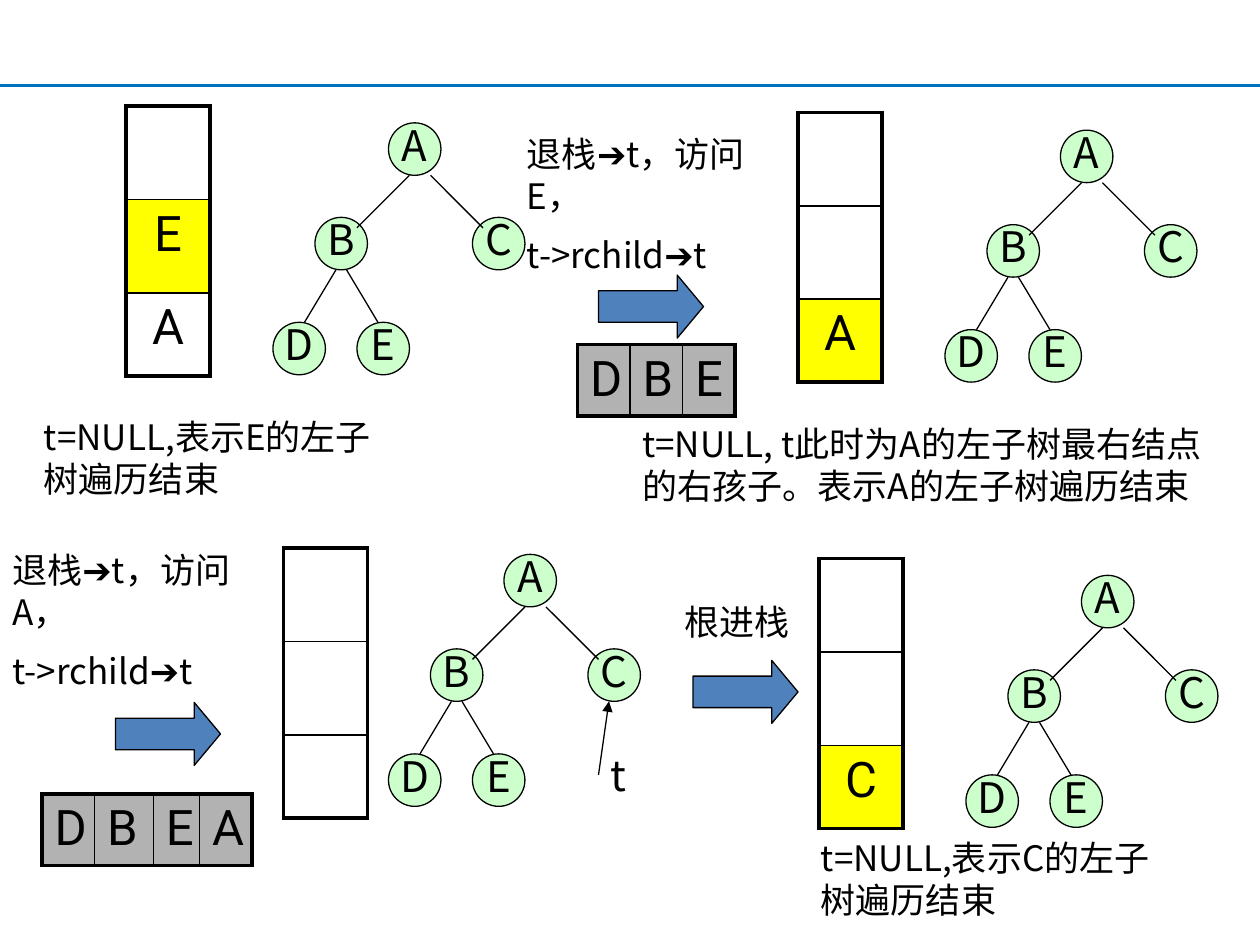
from dataclasses import dataclass

from lxml import etree
from pptx import Presentation
from pptx import util as u
from pptx.dml.color import RGBColor
from pptx.enum import shapes, text
from pptx.oxml.ns import qn


@dataclass(frozen=True)
class Theme:
    ink: str = "000000"
    rule: str = "0070C0"
    node: str = "CCFFCC"
    arrow: str = "4F81BD"
    top: str = "FFFF00"
    visited: str = "B2B2B2"
    body_font: str = "Noto Sans CJK SC"
    cell_font: str = "Roboto"
    body_size: int = 20
    node_size: int = 24
    cell_size: int = 28
    thin: float = 0.75
    inner: float = 1
    outer: float = 2.25


COLUMNS, ROWS = 120, 90
NODE = 5
# Node corners and edge ends, in grid units from the tree's left and top
NODES = {"A": (11, 0), "B": (4, 9), "C": (19, 9), "D": (0, 19), "E": (8, 19)}
EDGES = [(13, 5, 8, 10), (15, 5, 20, 10), (6, 14, 3, 19), (7, 14, 10, 19)]
STACK_ROWS = (8.9, 8.9, 7.9)


class Sketch:
    """Draws on one slide; lengths are columns and rows of a 120 by 90 grid."""

    def __init__(self, deck, theme):
        self.theme = theme
        self.slide = deck.slides.add_slide(deck.slide_layouts[6])
        self.column = deck.slide_width / COLUMNS
        self.row = deck.slide_height / ROWS

    def across(self, columns):
        return u.Emu(round(columns * self.column))

    def down(self, rows):
        return u.Emu(round(rows * self.row))

    def frame(self, left, top, width, height):
        return (self.across(left), self.down(top),
                self.across(width), self.down(height))

    def set_text(self, para, words, size, font):
        para.text = words
        para.font.size = u.Pt(size)
        para.font.color.rgb = RGBColor.from_string(self.theme.ink)
        para.font.name = font
        defaults = para._p.pPr.find(qn("a:defRPr"))
        etree.SubElement(defaults, qn("a:ea"), typeface=font)

    def shape(self, kind, place, colour):
        shape = self.slide.shapes.add_shape(kind, *self.frame(*place))
        shape.shadow.inherit = False
        shape.fill.solid()
        shape.fill.fore_color.rgb = RGBColor.from_string(colour)
        shape.line.color.rgb = RGBColor.from_string(self.theme.ink)
        shape.line.width = u.Pt(self.theme.thin)
        return shape

    def line(self, x1, y1, x2, y2, colour=None, width=None, arrowhead=False):
        line = self.slide.shapes.add_connector(
            shapes.MSO_CONNECTOR.STRAIGHT, *self.frame(x1, y1, x2, y2))
        line.line.color.rgb = RGBColor.from_string(colour or self.theme.ink)
        line.line.width = u.Pt(width or self.theme.thin)
        properties = line._element.spPr
        if arrowhead:
            etree.SubElement(properties.find(qn("a:ln")), qn("a:tailEnd"),
                             type="triangle")
        etree.SubElement(properties, qn("a:effectLst"))

    def arrow(self, left, top):
        arrow = self.shape(shapes.MSO_SHAPE.RIGHT_ARROW, (left, top, 10, 6),
                           self.theme.arrow)
        arrow.adjustments[1] = 0.417

    def node(self, left, top, letter):
        node = self.shape(shapes.MSO_SHAPE.OVAL, (left, top, NODE, NODE),
                          self.theme.node)
        frame = node.text_frame
        frame.word_wrap = False
        frame.vertical_anchor = text.MSO_ANCHOR.MIDDLE
        para = frame.paragraphs[0]
        para.alignment = text.PP_ALIGN.CENTER
        para.line_spacing = 0.8
        self.set_text(para, letter, self.theme.node_size, self.theme.body_font)

    def tree(self, left, top):
        for letter, (x, y) in NODES.items():
            self.node(left + x, top + y, letter)
        for x1, y1, x2, y2 in EDGES:
            self.line(left + x1, top + y1, left + x2, top + y2)

    def caption(self, place, *lines, size=None):
        size = size or self.theme.body_size
        box = self.slide.shapes.add_textbox(*self.frame(*place))
        frame = box.text_frame
        frame.word_wrap = True
        frame.auto_size = text.MSO_AUTO_SIZE.SHAPE_TO_FIT_TEXT
        for index, words in enumerate(lines):
            para = frame.add_paragraph() if index else frame.paragraphs[0]
            if index:
                para.space_before = u.Pt(size / 2)
            self.set_text(para, words, size, self.theme.body_font)

    def border(self, cell, outer_sides):
        """Heavy lines on the outer sides of the table, light ones inside."""
        properties = cell._tc.get_or_add_tcPr()
        for side in "LRTB":
            width = self.theme.outer if side in outer_sides else self.theme.inner
            line = etree.SubElement(properties, qn(f"a:ln{side}"),
                                    w=str(int(u.Pt(width))))
            fill = etree.SubElement(line, qn("a:solidFill"))
            etree.SubElement(fill, qn("a:srgbClr"), val=self.theme.ink)

    def table(self, left, top, widths, heights, letters, fills, alignment):
        """A single row or column of cells; letters and fills run along it."""
        place = self.frame(left, top, sum(widths), sum(heights))
        table = self.slide.shapes.add_table(
            len(heights), len(widths), *place).table
        table.first_row = table.horz_banding = False
        for column, width in zip(table.columns, widths):
            column.width = self.across(width)
        for row, height in zip(table.rows, heights):
            row.height = self.down(height)
        last = len(letters) - 1
        start, end, sides = ("T", "B", "LR") if len(widths) == 1 else ("L", "R", "TB")
        for index, cell in enumerate(table.iter_cells()):
            self.border(cell, sides + start * (index == 0) + end * (index == last))
            if fills[index]:
                cell.fill.solid()
                cell.fill.fore_color.rgb = RGBColor.from_string(fills[index])
            else:
                cell.fill.background()
            para = cell.text_frame.paragraphs[0]
            para.alignment = alignment
            self.set_text(para, letters[index], self.theme.cell_size,
                          self.theme.cell_font)

    def stack(self, left, top, *items):
        """A three-cell stack filled from the bottom, its top item marked."""
        empty = len(STACK_ROWS) - len(items)
        letters = [""] * empty + list(items)
        fills = [self.theme.top if items and index == empty else None
                 for index in range(len(STACK_ROWS))]
        self.table(left, top, [8], STACK_ROWS, letters, fills,
                   text.PP_ALIGN.CENTER)

    def output(self, left, top, letters, widths):
        self.table(left, top, widths, [6.8], letters,
                   [self.theme.visited] * len(letters), text.PP_ALIGN.LEFT)


def main():
    deck = Presentation()
    deck.slide_width, deck.slide_height = u.Inches(10), u.Inches(7.5)
    theme = Theme()
    sketch = Sketch(deck, theme)
    sketch.line(0, 8.16, COLUMNS, 8.16, theme.rule, 1.5)

    # E is on top of the stack
    sketch.stack(12, 10.1, "E", "A")
    sketch.tree(26, 11.7)
    sketch.caption((3, 39, 35, 9.2), "t=NULL,表示E的左子树遍历结束")

    # E is popped and visited
    sketch.caption((49, 12, 26, 15.2), "退栈➔t，访问E，", "t->rchild➔t")
    sketch.arrow(57, 26.2)
    sketch.output(55, 32.8, "DBE", [5, 5, 5])
    sketch.stack(76, 10.7, "A")
    sketch.tree(90, 12.4)
    sketch.caption((60, 39.6, 57.6, 9.2),
                   "t=NULL, t此时为A的左子树最右结点的右孩子。表示A的左子树遍历结束")

    # A is popped and visited
    sketch.caption((0, 51.6, 28, 15.2), "退栈➔t，访问A，", "t->rchild➔t")
    sketch.arrow(11, 66.9)
    sketch.output(4, 75.6, "DBEA", [5, 5.6, 4.4, 5])
    sketch.stack(27, 52.2)
    sketch.tree(37, 52.8)
    sketch.caption((57, 70.8, 11, 6), "t", size=theme.node_size)
    sketch.line(57, 73.8, 58, 66.8, arrowhead=True)

    # C is pushed
    sketch.caption((64, 56.6, 15, 5.2), "根进栈")
    sketch.arrow(66, 62.9)
    sketch.stack(78, 53.2, "C")
    sketch.tree(92, 54.8)
    sketch.caption((77, 79.1, 35, 9.2), "t=NULL,表示C的左子树遍历结束")

    deck.save("out.pptx")


if __name__ == "__main__":
    main()
